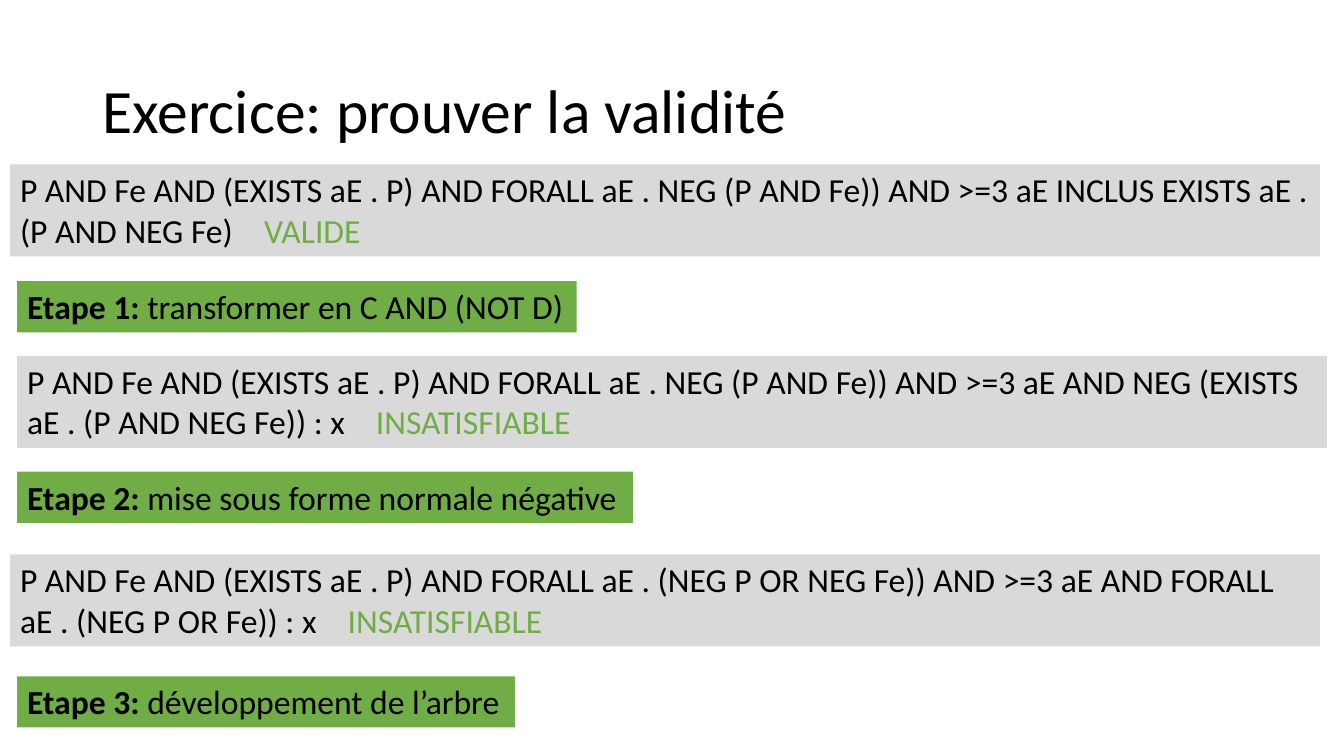
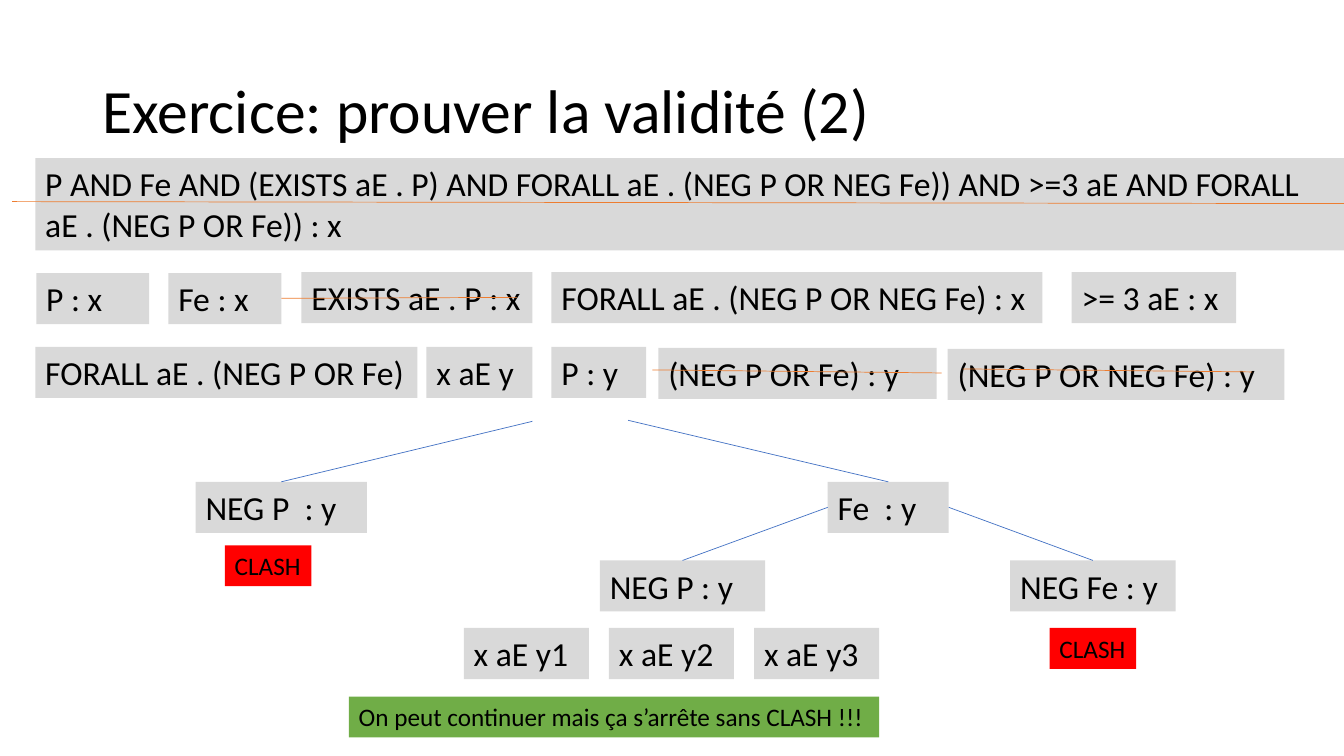
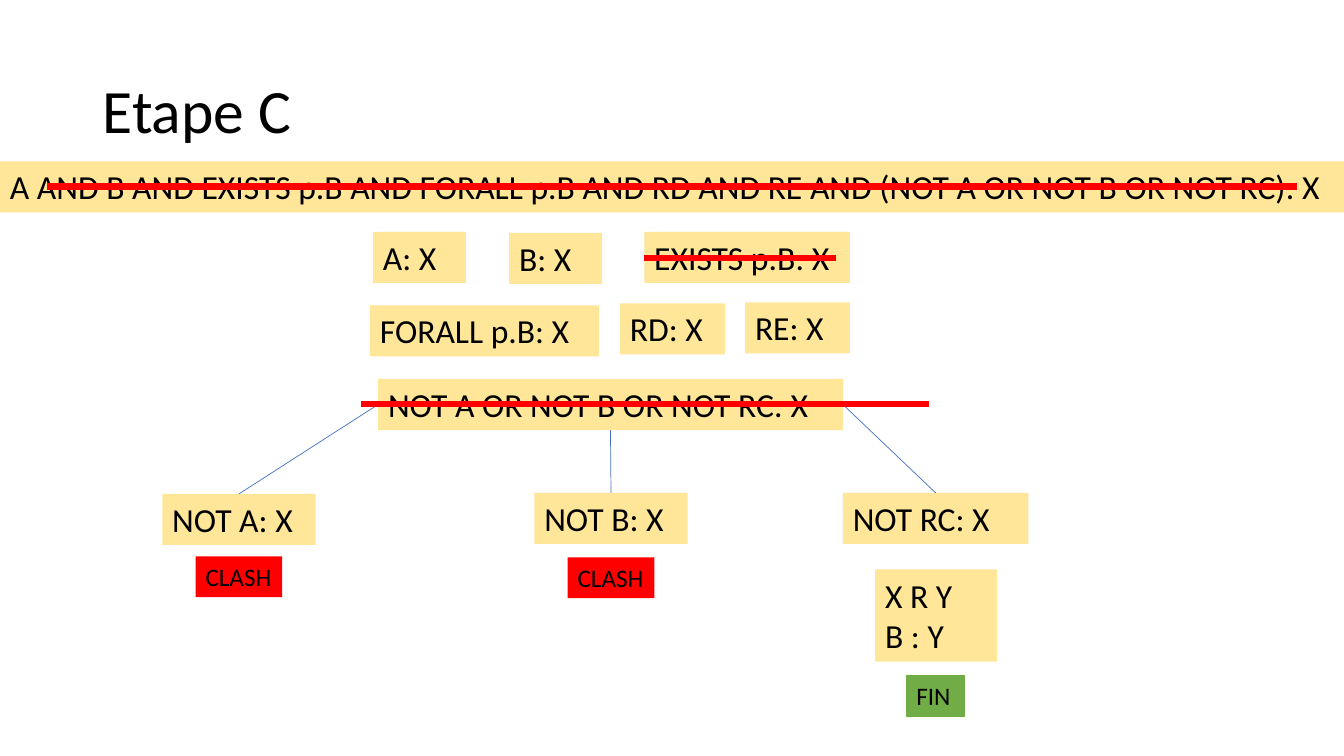
from lxml import etree
from pptx import Presentation
from pptx import util as u
from pptx.dml.color import RGBColor
from pptx.enum import shapes, text
from pptx.oxml import ns

BLACK = RGBColor(0x00, 0x00, 0x00)
GREY = RGBColor(0xD9, 0xD9, 0xD9)
GREEN = RGBColor(0x70, 0xAD, 0x47)
SAND = RGBColor(0xFF, 0xE6, 0x99)
RED = RGBColor(0xFF, 0x00, 0x00)
BLUE = RGBColor(0x44, 0x72, 0xC4)
ORANGE = RGBColor(0xED, 0x7D, 0x31)
FONT = "Calibri"
TOP, LEFT, BOTTOM, RIGHT = range(4)


class Lesson:
    """Slides of boxed formulas, proof branches and strike lines."""

    def __init__(self):
        self.deck = Presentation()
        self.deck.slide_width = u.Inches(13.33)
        self.deck.slide_height = u.Inches(7.5)
        self.page = None
        self.fill = GREY

    def start(self, title, fill):
        self.page = self.deck.slides.add_slide(self.deck.slide_layouts[6])
        self.fill = fill
        box = self.page.shapes.add_textbox(
            u.Inches(0.92), u.Inches(0.4), u.Inches(11.5), u.Inches(1.45))
        box.text_frame.word_wrap = True
        box.text_frame.vertical_anchor = text.MSO_ANCHOR.MIDDLE
        para = box.text_frame.paragraphs[0]
        para.text = title
        para.line_spacing = 0.9
        self.style(para, 44)

    def style(self, para, size):
        para.alignment = text.PP_ALIGN.LEFT
        para.font.name = FONT
        para.font.size = u.Pt(size)
        para.font.color.rgb = BLACK

    def box(self, left, top, width, words, fill=None, size=24, lines=1, wrap=True):
        height = 0.1 + lines * size * 1.22 / 72
        box = self.page.shapes.add_shape(
            shapes.MSO_SHAPE.RECTANGLE, u.Inches(left), u.Inches(top),
            u.Inches(width), u.Inches(height))
        box.shadow.inherit = False
        box.fill.solid()
        box.fill.fore_color.rgb = fill or self.fill
        box.line.fill.background()
        frame = box.text_frame
        frame.text = words
        frame.word_wrap = wrap
        frame.vertical_anchor = text.MSO_ANCHOR.TOP
        frame.auto_size = text.MSO_AUTO_SIZE.SHAPE_TO_FIT_TEXT
        for para in frame.paragraphs:
            self.style(para, size)
        return box

    def formula(self, left, top, words, verdict="", tab=0):
        box = self.box(left, top, 12.99, words, lines=2)
        if verdict:
            para = box.text_frame.paragraphs[0]
            span = para.add_run()
            span.text = "\t" + verdict
            span.font.color.rgb = GREEN
            stops = etree.Element(ns.qn("a:tabLst"))
            etree.SubElement(stops, ns.qn("a:tab"), pos=str(u.Inches(tab)), algn="l")
            properties = para._p.get_or_add_pPr()
            properties.insert_element_before(stops, "a:defRPr", "a:extLst")

    def step(self, top, width, number, words):
        box = self.box(0.17, top, width, f"Etape {number}: ", GREEN, wrap=False)
        para = box.text_frame.paragraphs[0]
        para.runs[0].font.bold = True
        para.add_run().text = words

    def clash(self, left, top):
        self.box(left, top, 0.86, "CLASH", RED, 18, wrap=False)

    def line(self, start, end, color, width=0.5):
        line = self.page.shapes.add_connector(
            shapes.MSO_CONNECTOR.STRAIGHT, *map(u.Inches, start + end))
        line.line.color.rgb = color
        line.line.width = u.Pt(width)
        etree.SubElement(line._element.spPr, ns.qn("a:effectLst"))
        return line

    def branch(self, child, parent=None, side=BOTTOM, point=(0, 0)):
        line = self.line(point, point, BLUE)
        if parent is not None:
            line.begin_connect(parent, side)
        line.end_connect(child, TOP)


def add_steps(lesson):
    """Rewrite the formula in three steps."""
    lesson.start("Exercice: prouver la validité", GREY)
    start = "P AND Fe AND (EXISTS aE . P) AND FORALL aE . "
    lesson.formula(0.1, 1.63, start + "NEG (P AND Fe)) AND >=3 aE INCLUS "
                   "EXISTS aE . (P AND NEG Fe)", "VALIDE", 2.42)
    lesson.formula(0.17, 3.53, start + "NEG (P AND Fe)) AND >=3 aE AND NEG "
                   "(EXISTS aE . (P AND NEG Fe)) : x", "INSATISFIABLE", 3.46)
    lesson.formula(0.1, 5.5, start + "(NEG P OR NEG Fe)) AND >=3 aE AND "
                   "FORALL aE . (NEG P OR Fe)) : x", "INSATISFIABLE", 3.25)
    lesson.step(2.79, 5.55, 1, "transformer en C AND (NOT D)")
    lesson.step(4.68, 6.11, 2, "mise sous forme normale négative")
    lesson.step(6.71, 4.94, 3, "développement de l’arbre")


def add_open_tree(lesson):
    """Develop the tree that ends without a clash."""
    lesson.start("Exercice: prouver la validité (2)", GREY)
    lesson.formula(0.35, 1.57, "P AND Fe AND (EXISTS aE . P) AND FORALL aE . "
                   "(NEG P OR NEG Fe)) AND >=3 aE AND FORALL aE . (NEG P OR Fe)) : x")
    for left, top, width, words in (
            (0.36, 2.71, 1.12, "P : x"),
            (1.67, 2.71, 1.12, "Fe : x"),
            (2.99, 2.7, 2.29, "EXISTS aE . P : x"),
            (5.47, 2.7, 4.87, "FORALL aE . (NEG P OR NEG Fe) : x"),
            (10.63, 2.7, 1.63, ">= 3 aE : x"),
            (0.35, 3.44, 3.79, "FORALL aE . (NEG P OR Fe)"),
            (4.23, 3.44, 1.05, "x aE y"),
            (5.47, 3.44, 0.94, "P : y"),
            (6.53, 3.45, 2.76, "(NEG P OR Fe) : y"),
            (9.4, 3.46, 3.34, "(NEG P OR NEG Fe) : y")):
        lesson.box(left, top, width, words)
    neg_p = lesson.box(1.94, 4.78, 1.7, "NEG P  : y")
    fe = lesson.box(8.21, 4.78, 1.2, "Fe  : y")
    fe_neg_p = lesson.box(5.95, 5.56, 1.64, "NEG P : y")
    fe_neg_fe = lesson.box(10.02, 5.56, 1.64, "NEG Fe : y")
    lesson.branch(neg_p, point=(5.28, 4.18))
    lesson.branch(fe, point=(6.23, 4.17))
    lesson.branch(fe_neg_p, fe, LEFT)
    lesson.branch(fe_neg_fe, fe, RIGHT)
    lesson.clash(2.23, 5.41)
    lesson.clash(10.41, 6.23)
    for index in range(3):
        lesson.box(4.6 + 1.44 * index, 6.23, 1.24, f"x aE y{index + 1}")
    lesson.box(3.46, 6.91, 5.26, "On peut continuer mais ça s’arrête sans CLASH !!!",
               GREEN, 18, wrap=False)
    for start, end in (((0.12, 2), (13.33, 2.02)), ((2.79, 2.96), (5.13, 2.95)),
                       ((6.47, 3.67), (9.34, 3.7)), ((9.55, 3.66), (12.42, 3.69))):
        lesson.line(start, end, ORANGE)


def add_closed_tree(lesson):
    """Develop the three-way tree of step C."""
    lesson.start("Etape C", SAND)
    for left, top, width, words in (
            (0, 1.6, 13.33, "A AND B AND EXISTS p.B AND FORALL p.B AND RD AND RE "
             "AND (NOT A OR NOT B OR NOT RC): X"),
            (3.7, 2.3, 0.92, "A: X"),
            (5.05, 2.31, 0.92, "B: X"),
            (6.39, 2.3, 2.04, "EXISTS p.B: X"),
            (3.67, 3.03, 2.27, "FORALL p.B: X"),
            (6.15, 3.01, 1.04, "RD: X"),
            (7.39, 3, 1.04, "RE: X")):
        lesson.box(left, top, width, words)
    choice = lesson.box(3.75, 3.76, 4.61, "NOT A OR NOT B OR NOT RC: X")
    for left, top, width, name, side in (
            (1.61, 4.9, 1.52, "A", LEFT),
            (5.3, 4.89, 1.52, "B", BOTTOM),
            (8.36, 4.89, 1.84, "RC", RIGHT)):
        child = lesson.box(left, top, width, f"NOT {name}: X")
        lesson.branch(child, choice, side)
    lesson.clash(1.94, 5.52)
    lesson.clash(5.63, 5.53)
    lesson.box(8.68, 5.65, 1.21, "X R Y\nB : Y", lines=2)
    end_label = lesson.box(8.99, 6.7, 0.58, "FIN", GREEN, 18)
    end_label.line.color.rgb = GREEN
    end_label.line.width = u.Pt(0.75)
    for left, right, top in ((0.47, 12.86, 1.85), (3.58, 9.21, 4.01), (6.39, 8.29, 2.56)):
        lesson.line((left, top), (right, top), RED, 4.5)


def main():
    """Build and save the three slides."""
    lesson = Lesson()
    add_steps(lesson)
    add_open_tree(lesson)
    add_closed_tree(lesson)
    lesson.deck.save("out.pptx")


if __name__ == "__main__":
    main()
